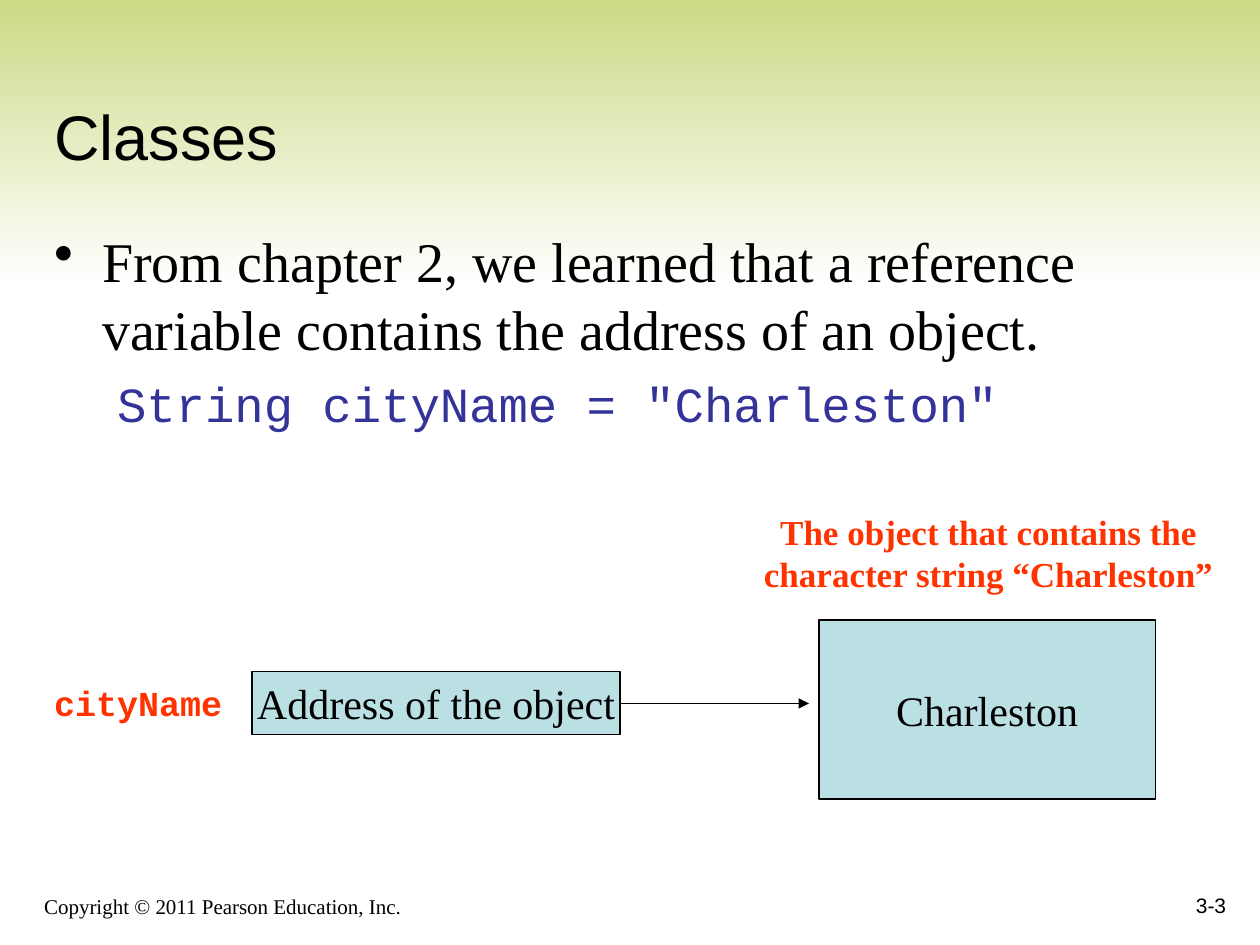
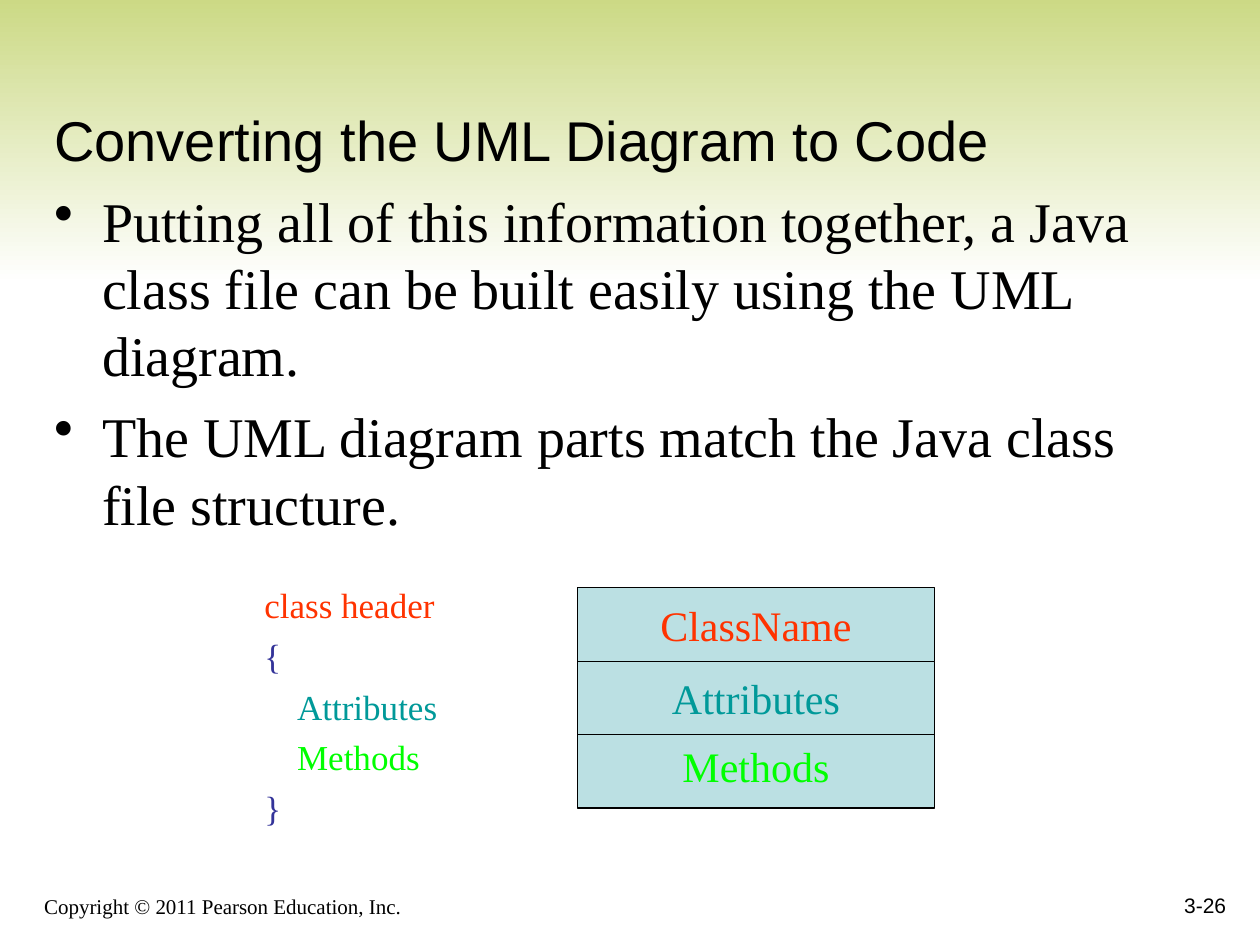
import pptx
import pptx.util
import pptx.dml.color
import pptx.enum.shapes
import pptx.enum.text
import pptx.oxml
import pptx.oxml.ns

Cm, Pt = pptx.util.Cm, pptx.util.Pt
ALIGN = pptx.enum.text.PP_ALIGN
ANCHOR = pptx.enum.text.MSO_ANCHOR
RECT = pptx.enum.shapes.MSO_SHAPE.RECTANGLE
LINE = pptx.enum.shapes.MSO_CONNECTOR.STRAIGHT
HUES = {"band": "CAD881", "white": "FFFFFF", "black": "000000", "box": "BBE0E3",
        "red": "FF3300", "blue": "333399", "teal": "009999", "green": "00FF00"}
HUES = {name: pptx.dml.color.RGBColor.from_string(hue) for name, hue in HUES.items()}
SERIF, SANS, MONO = "Times New Roman", "Arial", "Courier New"

BASE = {"name": SERIF, "size": Pt(20), "bold": False}
LARGE = {"size": Pt(24)}
SMALL = {"size": Pt(12)}
BULLET = {"size": Pt(32), "mark": "•", "left": Cm(0.97), "hang": Cm(-0.97), "gap": Pt(8)}
CODE = {"name": MONO, "size": Pt(28), "hue": "blue", "left": Cm(2.06), "hang": Cm(-0.79), "gap": Pt(7)}
NOTE = {"bold": True, "hue": "red"}


def write(shape, lines, align=ALIGN.LEFT, **frame):
    """Fill a shape with (text, format) lines; frame holds text frame values."""
    text = shape.text_frame
    values = {"word_wrap": True, "auto_size": pptx.enum.text.MSO_AUTO_SIZE.NONE} | frame
    for key, value in values.items():
        setattr(text, key, value)
    for i, (words, form) in enumerate(lines):
        para = text.add_paragraph() if i else text.paragraphs[0]
        para.text = words
        para.alignment = align
        para.space_before = form.get("gap", Pt(0)) if i else Pt(0)
        props = para._p.get_or_add_pPr()
        props.set("marL", str(form.get("left", 0)))
        props.set("indent", str(form.get("hang", 0)))
        if "mark" in form:
            mark = pptx.oxml.parse_xml(f'<a:buChar {pptx.oxml.ns.nsdecls("a")} char="{form["mark"]}"/>')
            props.append(mark)
        font = para.runs[0].font
        for key, value in BASE.items():
            setattr(font, key, form.get(key, value))
        font.color.rgb = HUES[form.get("hue", "black")]


def block(slide, place, words, form, anchor=ANCHOR.MIDDLE):
    box = slide.shapes.add_shape(RECT, *map(Cm, place))
    box.shadow.inherit = False
    box.fill.solid()
    box.fill.fore_color.rgb = HUES["box"]
    box.line.color.rgb = HUES["black"]
    box.line.width = Pt(0.75)
    write(box, [(words, form)], ALIGN.CENTER, word_wrap=False, vertical_anchor=anchor)


deck = pptx.Presentation()
deck.slide_width, deck.slide_height = Cm(25.4), Cm(19.05)

# Parts on both slides
pages = [
    ("Classes", 36, "3-3", 4.45, 4.93, [
        ("From chapter 2, we learned that a reference variable contains "
         "the address of an object.", BULLET),
        ('String cityName = "Charleston"', CODE)]),
    ("Converting the UML Diagram to Code", 32, "3-26", 3.63, 7.57, [
        ("Putting all of this information together, a Java class file can be "
         "built easily using the UML diagram.", BULLET),
        ("The UML diagram parts match the Java class file structure.", BULLET)]),
]
slides = []
for head, size, number, top, height, points in pages:
    slide = deck.slides.add_slide(deck.slide_layouts[5])
    slides.append(slide)
    shapes = slide.shapes

    band = shapes.add_shape(RECT, 0, Cm(-0.2), deck.slide_width, Cm(5.92))
    band.shadow.inherit = False
    band.line.fill.background()
    band.fill.gradient()
    band.fill.gradient_angle = 270
    for stop, hue in zip(band.fill.gradient_stops, ("band", "white")):
        stop.color.rgb = HUES[hue]
    shapes._spTree.insert(2, band._element)

    foot = shapes.add_textbox(Cm(0.64), Cm(17.58), Cm(15.44), Cm(1.07))
    write(foot, [("Copyright © 2011 Pearson Education, Inc.", SMALL)],
          vertical_anchor=ANCHOR.BOTTOM)
    count = shapes.add_textbox(Cm(19.69), Cm(17.35), Cm(5.28), Cm(1.27))
    write(count, [(number, SMALL | {"name": SANS})], ALIGN.RIGHT,
          vertical_anchor=ANCHOR.BOTTOM)

    title = shapes.title
    title.left, title.top, title.width, title.height = map(Cm, (0.84, 0.84, 23.93, 2.77))
    write(title, [(head, {"name": SANS, "size": Pt(size)})],
          vertical_anchor=ANCHOR.BOTTOM)
    body = shapes.add_textbox(Cm(0.84), Cm(top), Cm(23.04), Cm(height))
    write(body, points, margin_right=0)

# Reference variable and its object
first, second = slides
block(first, (16.51, 12.5, 6.78, 3.61), "Charleston", LARGE)
block(first, (5.08, 13.54, 7.42, 1.27), "Address of the object", LARGE)
label = first.shapes.add_textbox(Cm(0.84), Cm(13.61), Cm(3.89), Cm(1.12))
write(label, [("cityName", NOTE | {"name": MONO})], word_wrap=False)

arrow = first.shapes.add_connector(LINE, Cm(12.5), Cm(14.18), Cm(16.31), Cm(14.18))
arrow.line.color.rgb = HUES["black"]
arrow.line.width = Pt(0.75)
tip = pptx.oxml.parse_xml(f'<a:tailEnd {pptx.oxml.ns.nsdecls("a")} type="triangle"/>')
arrow.line._get_or_add_ln().append(tip)
arrow._element.spPr.append(pptx.oxml.parse_xml(f'<a:effectLst {pptx.oxml.ns.nsdecls("a")}/>'))

note = first.shapes.add_textbox(Cm(15.14), Cm(10.16), Cm(9.58), Cm(1.96))
write(note, [("The object that contains the", NOTE),
             ("character string “Charleston”", NOTE)], ALIGN.CENTER, word_wrap=False)

# UML diagram beside the class file
parts = [("ClassName", "red", ANCHOR.MIDDLE), ("Attributes", "teal", ANCHOR.MIDDLE),
         ("Methods", "green", ANCHOR.TOP)]
for i, (words, hue, anchor) in enumerate(parts):
    block(second, (11.64, 11.85 + 1.48 * i, 7.2, 1.48), words, LARGE | {"hue": hue}, anchor)

rows = [("class header", "red", 0), ("{", "blue", 0), ("Attributes", "teal", 0.66),
        ("Methods", "green", 0.66), ("}", "blue", 0)]
code = second.shapes.add_textbox(Cm(5.08), Cm(11.64), Cm(3.99), Cm(5.21))
write(code, [(words, {"hue": hue, "left": Cm(left), "gap": Pt(5)}) for words, hue, left in rows],
      word_wrap=False)

deck.save("out.pptx")
